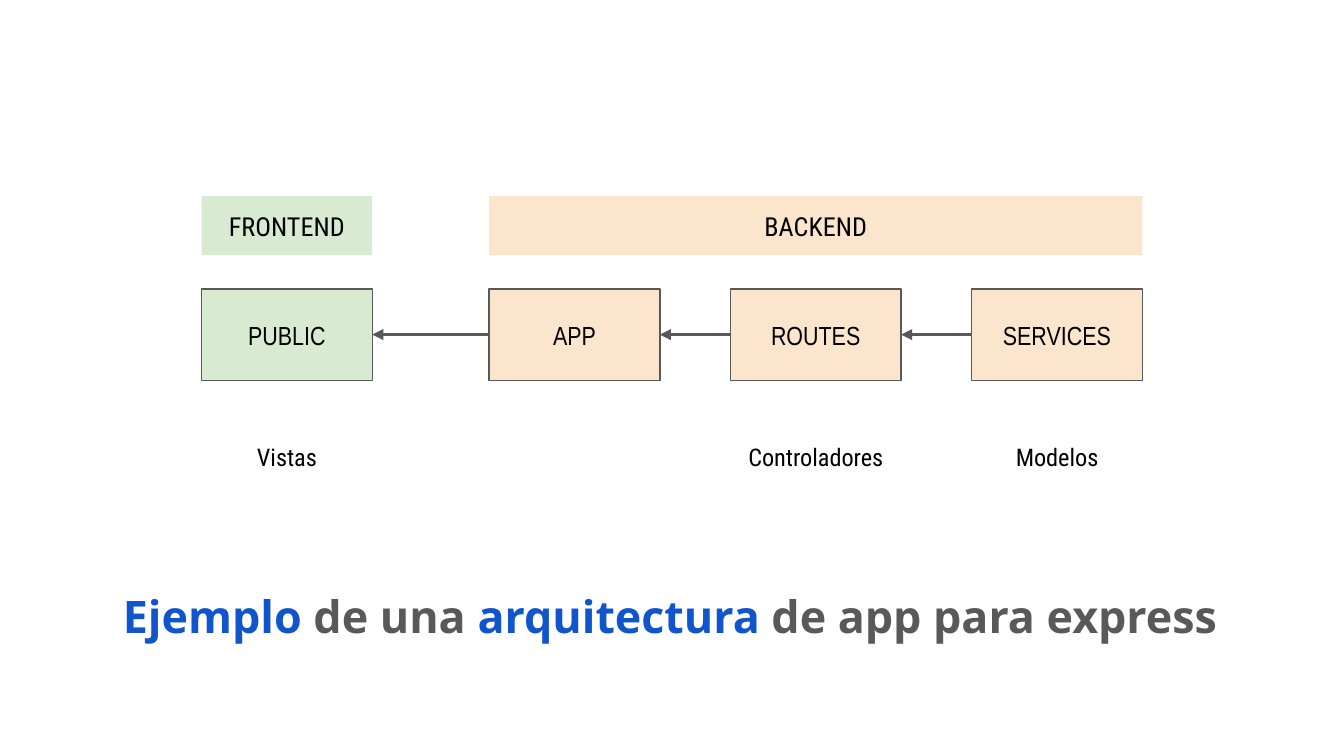
"""Build a slide showing the layers of an Express app, from frontend to backend."""
from dataclasses import dataclass

import lxml.etree
import pptx
import pptx.dml.color
import pptx.enum.shapes
import pptx.enum.text
import pptx.oxml.ns
import pptx.util


@dataclass(frozen=True)
class Theme:
    front: str = "D9EAD3"
    back: str = "FCE5CD"
    gray: str = "595959"
    blue: str = "1155CC"
    black: str = "000000"
    label_font: str = "Roboto Condensed"
    module_font: str = "Arial Narrow"
    title_font: str = "Open Sans"
    label_size: int = 14
    caption_size: int = 13
    title_size: int = 24
    border: float = 0.75
    arrow: float = 1.5


THEME = Theme()
MODULES = [
    ("PUBLIC", THEME.front, "Vistas"),
    ("APP", THEME.back, None),
    ("ROUTES", THEME.back, "Controladores"),
    ("SERVICES", THEME.back, "Modelos"),
]
LAYERS = [("FRONTEND", THEME.front, 0, 0), ("BACKEND", THEME.back, 1, 3)]
TITLE = [
    ("Ejemplo", THEME.blue),
    (" de una ", THEME.gray),
    ("arquitectura", THEME.blue),
    (" de app para express", THEME.gray),
]

WIDTH = 10
HEIGHT = WIDTH * 9 / 16
MARGIN, BOX_WIDTH, BACKEND_LEFT = 1.5, 1.27, 3.64
PITCH = (WIDTH - MARGIN - BOX_WIDTH - BACKEND_LEFT) / 2
COLUMNS = [MARGIN] + [BACKEND_LEFT + PITCH * index for index in range(3)]
ROWS = {"layer": (1.46, 0.44), "module": (2.15, 0.68), "caption": (3.18, 0.44)}
TITLE_AREA = (0.34, 4.22, 9.29, 0.84)


def color(value):
    return pptx.dml.color.RGBColor.from_string(value)


def cell(row, first, last):
    top, height = ROWS[row]
    return COLUMNS[first], top, COLUMNS[last] + BOX_WIDTH - COLUMNS[first], height


def write(shape, pieces, font, size, bold=False, anchor="MIDDLE"):
    frame = shape.text_frame
    frame.word_wrap = True
    frame.vertical_anchor = pptx.enum.text.MSO_ANCHOR[anchor]
    for side in ("left", "top", "right", "bottom"):
        setattr(frame, f"margin_{side}", pptx.util.Inches(0.1))
    paragraph = frame.paragraphs[0]
    paragraph.alignment = pptx.enum.text.PP_ALIGN.CENTER
    for text, text_color in pieces:
        run = paragraph.add_run()
        run.text = text
        run.font.name = font
        run.font.size = pptx.util.Pt(size)
        run.font.bold = bold
        run.font.color.rgb = color(text_color)
    return paragraph


def add_box(slide, area, text, fill, font, border=None):
    shape = slide.shapes.add_shape(
        pptx.enum.shapes.MSO_SHAPE.RECTANGLE, *map(pptx.util.Inches, area))
    shape.shadow.inherit = False
    shape.fill.solid()
    shape.fill.fore_color.rgb = color(fill)
    if border:
        shape.line.color.rgb = color(border)
        shape.line.width = pptx.util.Pt(THEME.border)
    else:
        shape.line.fill.background()
    write(shape, [(text, THEME.black)], font, THEME.label_size)
    return shape


def add_text(slide, area):
    return slide.shapes.add_textbox(*map(pptx.util.Inches, area))


def add_arrow(slide, source, target):
    arrow = slide.shapes.add_connector(
        pptx.enum.shapes.MSO_CONNECTOR.STRAIGHT, 0, 0, 0, 0)
    arrow.begin_connect(source, 1)
    arrow.end_connect(target, 3)
    arrow.line.color.rgb = color(THEME.gray)
    arrow.line.width = pptx.util.Pt(THEME.arrow)
    qualified = pptx.oxml.ns.qn
    line = arrow._element.spPr.find(qualified("a:ln"))
    lxml.etree.SubElement(line, qualified("a:tailEnd"), type="triangle")
    lxml.etree.SubElement(arrow._element.spPr, qualified("a:effectLst"))


def main():
    presentation = pptx.Presentation()
    presentation.slide_width = pptx.util.Inches(WIDTH)
    presentation.slide_height = pptx.util.Inches(HEIGHT)
    slide = presentation.slides.add_slide(presentation.slide_layouts[6])

    title = write(add_text(slide, TITLE_AREA), TITLE, THEME.title_font,
                  THEME.title_size, bold=True, anchor="TOP")
    title.line_spacing = 1.15
    title.space_after = pptx.util.Pt(12)

    boxes = [add_box(slide, cell("module", column, column), name, fill,
                     THEME.module_font, THEME.gray)
             for column, (name, fill, _) in enumerate(MODULES)]
    for target, source in zip(boxes, boxes[1:]):
        add_arrow(slide, source, target)
    for name, fill, first, last in LAYERS:
        add_box(slide, cell("layer", first, last), name, fill, THEME.label_font)
    for column, (_, _, caption) in enumerate(MODULES):
        if caption:
            write(add_text(slide, cell("caption", column, column)),
                  [(caption, THEME.black)], THEME.label_font, THEME.caption_size)

    presentation.save("out.pptx")


if __name__ == "__main__":
    main()
